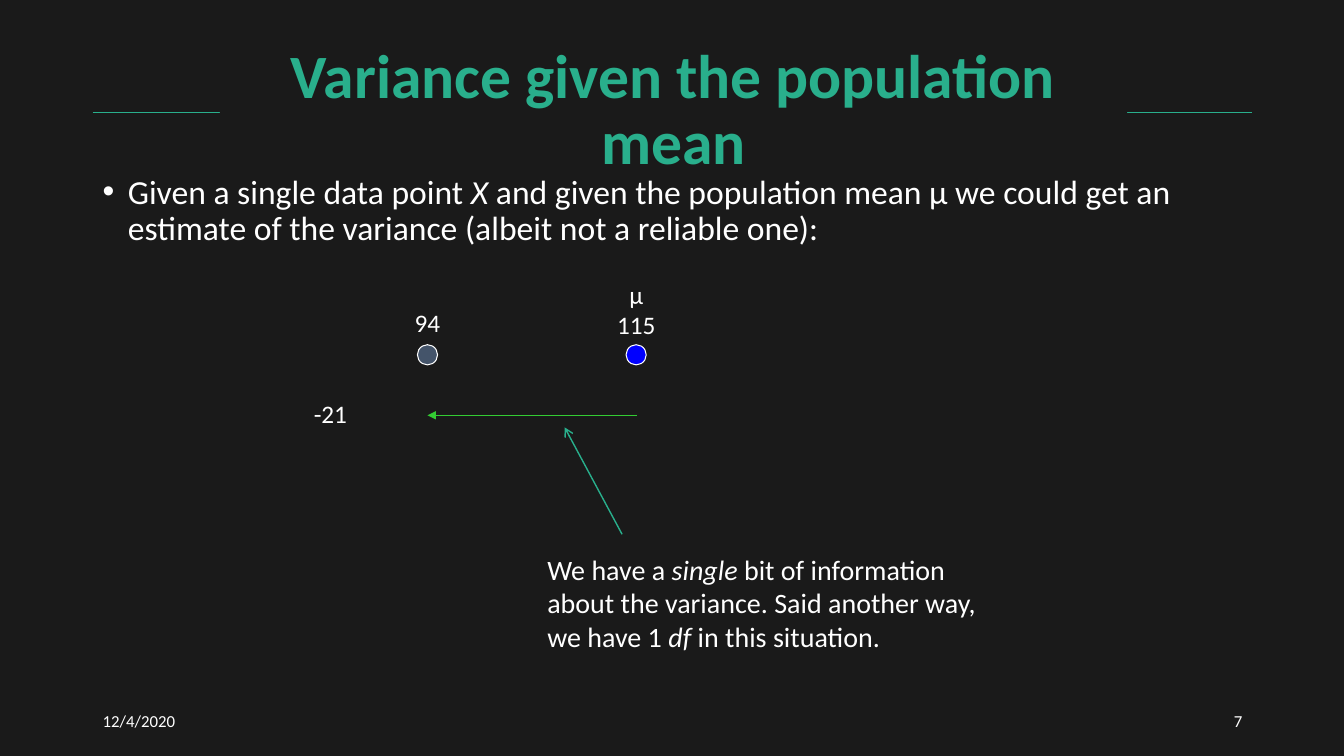
from dataclasses import dataclass

import pptx
import pptx.dml.color
import pptx.enum.dml
import pptx.enum.shapes
import pptx.enum.text
import pptx.oxml.ns
import pptx.util
from lxml import etree

Inches = pptx.util.Inches
Pt = pptx.util.Pt
RGB = pptx.dml.color.RGBColor.from_string
ALIGN = pptx.enum.text.PP_ALIGN
ANCHOR = pptx.enum.text.MSO_ANCHOR
SHAPE = pptx.enum.shapes.MSO_SHAPE
qn = pptx.oxml.ns.qn


@dataclass(frozen=True)
class Theme:
    font: str = "Calibri"
    background: str = "1A1A1A"
    accent: str = "29AF8C"
    text: str = "FFFFFF"
    deviation: str = "33CC33"
    mean: str = "0000FF"
    observation: str = "44546A"
    title_size: int = 44
    body_size: int = 24
    note_size: int = 20
    label_size: int = 18
    footer_size: int = 12


@dataclass(frozen=True)
class Box:
    left: float
    top: float
    width: float
    height: float

    def inner(self, dx, dy, width, height):
        return Box(self.left + dx, self.top + dy, width, height)

    def lengths(self):
        return [Inches(v) for v in (self.left, self.top, self.width, self.height)]


THEME = Theme()


def write(shape, parts, size, color=THEME.text, bold=False, align=ALIGN.LEFT,
          anchor=ANCHOR.TOP, wrap=True):
    frame = shape.text_frame
    frame.word_wrap = wrap
    frame.vertical_anchor = anchor
    if isinstance(parts, str):
        frame.text = parts
    else:
        for text, italic in parts:
            run = frame.paragraphs[0].add_run()
            run.text = text
            run.font.italic = italic
    for paragraph in frame.paragraphs:
        paragraph.alignment = align
        for run in paragraph.runs:
            run.font.name = THEME.font
            run.font.size = Pt(size)
            run.font.bold = bold
            run.font.color.rgb = RGB(color)
    return frame


def add_text(slide, box, parts, size, **style):
    return write(slide.shapes.add_textbox(*box.lengths()), parts, size, **style)


def add_line(slide, start, end, color, width, arrow=None):
    line = slide.shapes.add_connector(
        pptx.enum.shapes.MSO_CONNECTOR.STRAIGHT, *[Inches(v) for v in (*start, *end)])
    line.line.color.rgb = RGB(color)
    line.line.width = Pt(width)
    if arrow:
        etree.SubElement(line.line._get_or_add_ln(), qn("a:tailEnd"), type=arrow)
    etree.SubElement(line._element.spPr, qn("a:effectLst"))


def draw_header(slide, box):
    rule_y = box.top + 0.63
    add_line(slide, (box.left, rule_y), (box.left + box.width, rule_y), THEME.accent, 0.5)
    title_box = box.inner((box.width - 9) / 2 + 0.01, 0, 9, box.height)
    title = slide.shapes.add_shape(SHAPE.RECTANGLE, *title_box.lengths())
    title.shadow.inherit = False
    title.fill.solid()
    title.fill.fore_color.rgb = RGB(THEME.background)
    title.line.fill.background()
    frame = write(title, "Variance given the population mean", THEME.title_size,
                  color=THEME.accent, bold=True, align=ALIGN.CENTER, anchor=ANCHOR.MIDDLE)
    frame.paragraphs[0].line_spacing = 0.9


def draw_statement(slide, box):
    frame = add_text(slide, box, [
        ("Given a single data point ", False),
        ("X ", True),
        ("and given the population mean μ we could get an estimate of the variance "
         "(albeit not a reliable one):", False),
    ], THEME.body_size)
    statement = frame.paragraphs[0]
    properties = statement._p.get_or_add_pPr()
    properties.set("marL", str(Inches(0.25)))
    properties.set("indent", str(-Inches(0.25)))
    etree.SubElement(properties, qn("a:buFont"), typeface="Arial")
    etree.SubElement(properties, qn("a:buChar"), char="•")
    statement.line_spacing = 0.9


def draw_point(slide, box, label, label_width, label_height, label_dy, color):
    label_box = box.inner((box.width - label_width) / 2, label_dy, label_width, label_height)
    point = slide.shapes.add_shape(SHAPE.OVAL, *box.lengths())
    point.shadow.inherit = False
    point.fill.solid()
    point.fill.fore_color.rgb = RGB(color)
    point.line.color.rgb = RGB(THEME.text)
    point.line.width = Pt(0.75)
    add_text(slide, label_box, label, THEME.label_size, align=ALIGN.CENTER, wrap=False)


def draw_deviation(slide, box):
    observation_x, mean_x = box.left + 1.44, box.left + 3.52
    deviation_y = box.top + 1.4
    add_line(slide, (mean_x, deviation_y), (observation_x, deviation_y),
             THEME.deviation, 0.75, "triangle")
    draw_point(slide, box.inner(3.41, 0.7, 0.2, 0.2), "μ\n115", 0.59, 0.71, -0.7, THEME.mean)
    draw_point(slide, box.inner(1.34, 0.7, 0.2, 0.2), "94", 0.46, 0.4, -0.42,
               THEME.observation)
    add_text(slide, box.inner(0, 0.88, 0.74, 1), "-21", THEME.label_size,
             align=ALIGN.RIGHT, anchor=ANCHOR.MIDDLE)
    add_line(slide, (box.left + 3.37, box.top + 2.58), (box.left + 2.8, box.top + 1.52),
             THEME.accent, 1, "arrow")
    add_text(slide, box.inner(2.53, 2.71, 4.47, 1.11), [
        ("We have a ", False),
        ("single", True),
        (" bit of information about the variance. Said another way, we have 1 ", False),
        ("df", True),
        (" in this situation.", False),
    ], THEME.note_size)


def draw_footer(slide, box):
    entries = ((0, "12/4/2020", ALIGN.LEFT), (box.width - 3, "7", ALIGN.RIGHT))
    for dx, entry, align in entries:
        add_text(slide, box.inner(dx, 0, 3, box.height), entry, THEME.footer_size,
                 align=align, anchor=ANCHOR.MIDDLE)


def main():
    deck = pptx.Presentation()
    deck.slide_width, deck.slide_height = Inches(13.33), Inches(7.5)
    slide = deck.slides.add_slide(deck.slide_layouts[6])
    slide.background.fill.solid()
    slide.background.fill.fore_color.rgb = RGB(THEME.background)
    draw_header(slide, Box(0.92, 0.48, 11.5, 1.25))
    draw_statement(slide, Box(0.92, 1.69, 11.5, 5.66))
    draw_deviation(slide, Box(2.8, 2.72, 7, 3.82))
    draw_footer(slide, Box(0.92, 6.95, 11.5, 0.4))
    deck.save("out.pptx")


if __name__ == "__main__":
    main()
